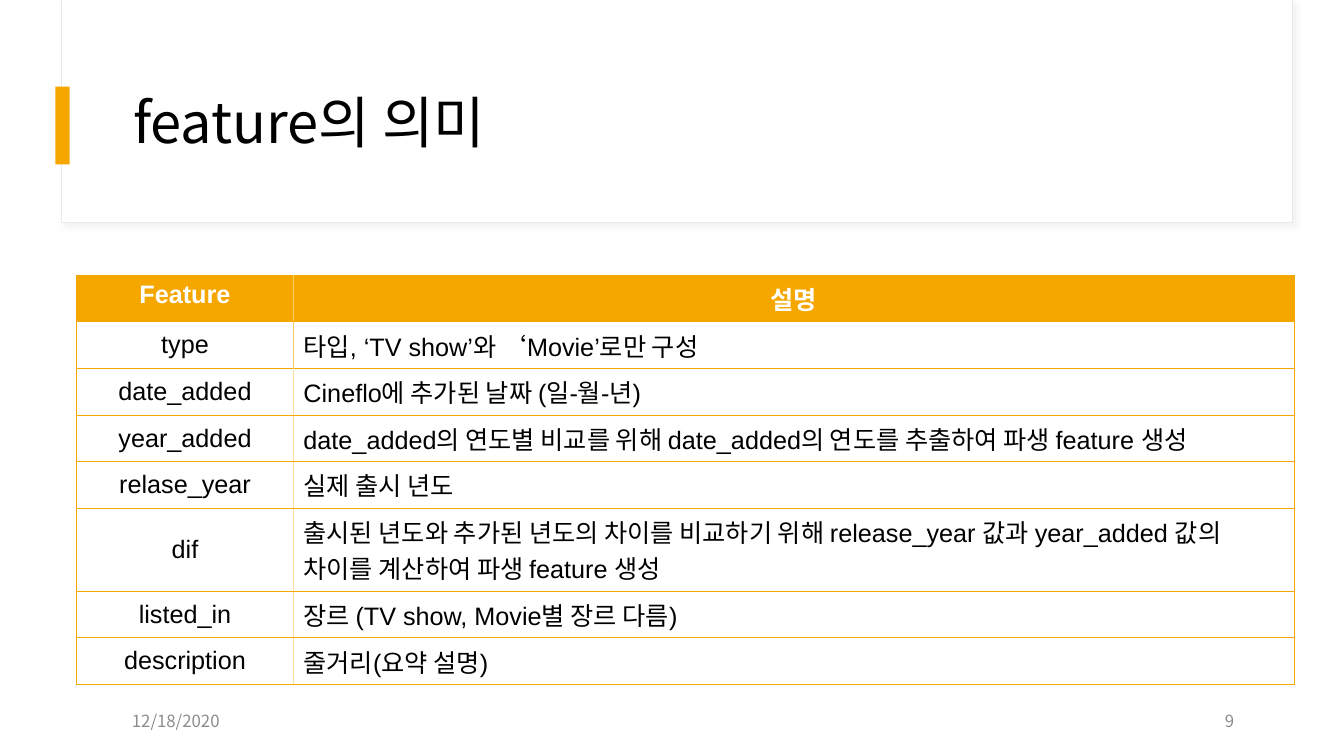
from dataclasses import dataclass

from lxml import etree
from pptx import Presentation, util as u
from pptx.dml.color import RGBColor
from pptx.enum import shapes, text
from pptx.oxml import parse_xml
from pptx.oxml.ns import nsdecls, qn


@dataclass
class Theme:
    gold: str = "F5A700"
    amber: str = "FFCC60"
    sand: str = "FBDFA2"
    white: str = "FFFFFF"
    black: str = "000000"
    grey: str = "8C8C8C"
    edge: str = "E9E9E9"
    shade: str = "D9D9D9"
    sans: str = "Noto Sans CJK KR"
    body: str = "Arial"
    big: int = 40
    mid: int = 18
    small: int = 12


look = Theme()
mid, top = text.MSO_ANCHOR.MIDDLE, text.MSO_ANCHOR.TOP
left, center, right = text.PP_ALIGN.LEFT, text.PP_ALIGN.CENTER, text.PP_ALIGN.RIGHT

deck = Presentation()
deck.slide_width, deck.slide_height = u.Inches(13.33), u.Inches(7.5)


def area(x, y, w, h):
    """Turn percentages of the slide's width and height into lengths."""
    wide, high = deck.slide_width / 100, deck.slide_height / 100
    return [int(v) for v in (x * wide, y * high, w * wide, h * high)]


def write(frame, words, size=look.mid, color=look.black, font=look.body,
          bold=False, align=left, space=None):
    frame.word_wrap = True
    para = frame.paragraphs[0]
    para.alignment, para.line_spacing = align, space
    run = para.add_run()
    run.text = words
    run.font.size, run.font.bold, run.font.name = u.Pt(size), bold, font
    run.font.color.rgb = RGBColor.from_string(color)
    east = etree.SubElement(run.font._element, qn("a:ea"))
    east.set("typeface", look.sans)


slide = deck.slides.add_slide(deck.slide_layouts[5])
draw = slide.shapes

# Header panel and accent bar
panel = draw.add_shape(shapes.MSO_SHAPE.RECTANGLE, *area(4.58, 0, 91.6, 29.47))
bar = draw.add_shape(shapes.MSO_SHAPE.RECTANGLE, *area(4.13, 11.47, 1.05, 10.27))
for shape, fill in ((panel, look.white), (bar, look.gold)):
    shape.shadow.inherit = False
    shape.fill.solid()
    shape.fill.fore_color.rgb = RGBColor.from_string(fill)
bar.line.fill.background()
panel.line.color.rgb = RGBColor.from_string(look.edge)
panel.line.width = u.Pt(0.75)
panel.element.spPr.find(qn("a:effectLst")).append(parse_xml(
    f'<a:outerShdw {nsdecls("a")} blurRad="50800" dist="38100" dir="2700000">'
    f'<a:srgbClr val="{look.shade}"><a:alpha val="30000"/></a:srgbClr></a:outerShdw>'))

# Title, in front of the panel
title = draw.title
title.left, title.top, title.width, title.height = area(9.15, 8, 83.42, 17.2)
title.text_frame.vertical_anchor = mid
write(title.text_frame, "feature의 의미", size=look.big, font=look.sans, space=0.9)
draw.element.append(title.element)

# Feature table
rows = [
    ("Feature", "설명"),
    ("type", "타입, ‘TV show’와 ‘Movie’로만 구성"),
    ("date_added", "Cineflo에 추가된 날짜 (일-월-년)"),
    ("year_added", "date_added의 연도별 비교를 위해 date_added의 연도를 추출하여 파생 feature 생성"),
    ("relase_year", "실제 출시 년도"),
    ("dif", "출시된 년도와 추가된 년도의 차이를 비교하기 위해 release_year 값과 "
            "year_added 값의 차이를 계산하여 파생 feature 생성"),
    ("listed_in", "장르 (TV show, Movie별 장르 다름)"),
    ("description", "줄거리(요약 설명)"),
]
table = draw.add_table(len(rows), 2, *area(5.7, 36.4, 90.62, 47.76)).table
table.horz_banding = False
for col, share in zip(table.columns, (16.13, 74.49)):
    col.width = area(0, 0, share, 0)[2]

for r, row in enumerate(rows):
    table.rows[r].height = area(0, 0, 0, 9.47 if row[0] == "dif" else 5.47)[3]
    head = r == 0
    inner = (look.amber if r < 2 else look.sand, 1)
    outer = (look.gold, 0.5)
    for c, words in enumerate(row):
        cell = table.cell(r, c)
        cell.vertical_anchor = top if head or c else mid
        write(cell.text_frame, words, bold=head,
              color=look.white if head else look.black,
              align=center if head or c == 0 else left)
        sides = {"L": inner if c else outer, "R": outer if c else inner,
                 "T": outer, "B": outer}
        for side, (color, width) in sides.items():
            cell._tc.get_or_add_tcPr().append(parse_xml(
                f'<a:ln{side} {nsdecls("a")} w="{u.Pt(width)}"><a:solidFill>'
                f'<a:srgbClr val="{color}"/></a:solidFill></a:ln{side}>'))
        cell.fill.solid()
        cell.fill.fore_color.rgb = RGBColor.from_string(look.gold if head else look.white)

# Footer
for x, words, align in ((9.08, "12/18/2020", left), (70.07, "9", right)):
    note = draw.add_textbox(*area(x, 92.67, 22.5, 5.33)).text_frame
    note.vertical_anchor = mid
    write(note, words, size=look.small, color=look.grey, font=look.sans, align=align)

deck.save("out.pptx")
